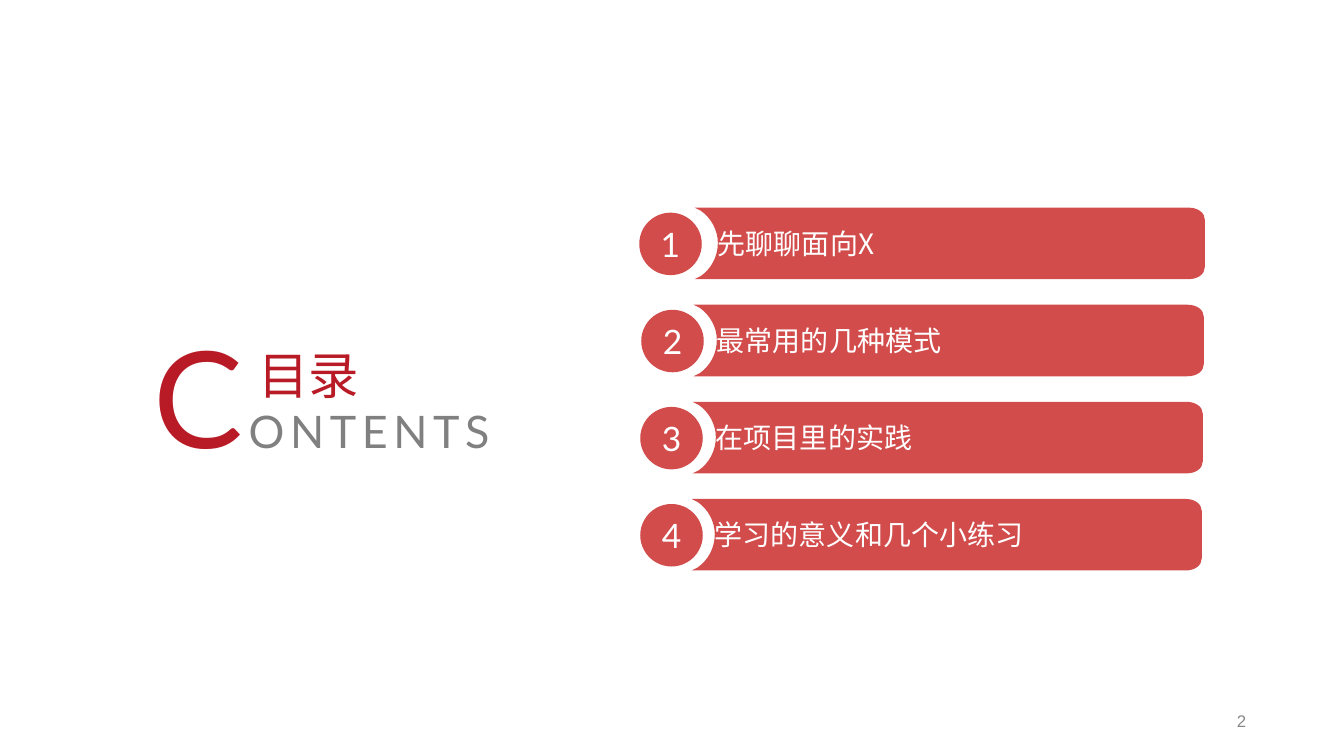
"""Build a contents slide with four numbered bars."""
import pptx
import pptx.dml.color
import pptx.enum.shapes
import pptx.enum.text
import pptx.oxml.ns
import pptx.util
from lxml import etree

Inches = pptx.util.Inches
Align = pptx.enum.text.PP_ALIGN
qn = pptx.oxml.ns.qn
COLORS = {"red": "C00000", "title": "B81B26", "gray": "808080",
          "page": "888888", "white": "FFFFFF"}
CJK = "Noto Sans CJK SC"
ITEMS = [(6.34, "先聊聊面向X"), (6.36, "最常用的几种模式"),
         (6.35, "在项目里的实践"), (6.35, "学习的意义和几个小练习")]
TOP, STEP, SHIFT = 2.06, 2.89 / 3, 0.01
WIDTH, HEIGHT = 5.06, 0.71
OUTLINE = [[(0, 0)], [(4.9, 0)],
           [(4.99, 0), (WIDTH, 0.05), (WIDTH, 0.12)], [(WIDTH, 0.59)],
           [(WIDTH, 0.66), (4.99, HEIGHT), (4.9, HEIGHT)],
           [(0, HEIGHT)], [(0.06, 0.68)],
           [(0.16, 0.61), (0.23, 0.49), (0.23, 0.35)],
           [(0.23, 0.22), (0.16, 0.1), (0.06, 0.03)]]


def add_tag(parent, name, **attrs):
    """Append a drawing element to a parent."""
    return etree.SubElement(parent, qn(name), **attrs)


def add_run(para, text, size, font, color, gap=0):
    """Add one styled run to a paragraph."""
    run = para.add_run()
    run.text = text
    run.font.size = pptx.util.Pt(size)
    run.font.color.rgb = pptx.dml.color.RGBColor.from_string(COLORS[color])
    run.font.name = font
    props = run.font._element
    add_tag(props, "a:ea", typeface=font)
    if gap:
        props.set("spc", str(gap * 100))


def add_text(shapes, box, runs, align=Align.LEFT, inset=0.05, left=None, wrap=True):
    """Add a text box with one paragraph of runs."""
    frame = shapes.add_textbox(*map(Inches, box)).text_frame
    frame.word_wrap = wrap
    frame.vertical_anchor = pptx.enum.text.MSO_ANCHOR.MIDDLE
    frame.margin_top = frame.margin_bottom = frame.margin_right = Inches(inset)
    frame.margin_left = Inches(inset if left is None else left)
    para = frame.paragraphs[0]
    para.alignment = align
    for run in runs:
        add_run(para, *run)


def paint(shape):
    """Give a shape the clear red fill and no line or shadow."""
    shape.shadow.inherit = False
    shape.line.fill.background()
    shape.fill.solid()
    shape.fill.fore_color.rgb = pptx.dml.color.RGBColor.from_string(COLORS["red"])
    tint = shape._element.spPr.find(".//" + qn("a:srgbClr"))
    add_tag(tint, "a:alpha", val="70000")


def bend(shape, parts):
    """Turn each run of three line points into one cubic curve."""
    lines = iter(list(shape._element.iter(qn("a:lnTo"))))
    for part in parts:
        steps = [next(lines) for _ in part]
        if len(steps) == 3:
            cubic = etree.Element(qn("a:cubicBezTo"))
            steps[0].addprevious(cubic)
            for step in steps:
                cubic.append(step[0])
                step.getparent().remove(step)


def add_bar(shapes, left, top, label):
    """Add a bar with a scooped left end and its label."""
    points = [(Inches(left + x), Inches(top + y))
              for part in OUTLINE for x, y in part]
    builder = shapes.build_freeform(*points[0])
    builder.add_line_segments(points[1:], close=True)
    bar = builder.convert_to_shape()
    bend(bar, OUTLINE[1:])
    paint(bar)
    add_text(shapes, (left, top + 0.12, WIDTH, 0.47),
             [(label, 20, CJK, "white")], inset=0.04, left=0.23)


def add_badge(shapes, left, top, number):
    """Add a round badge with its number."""
    oval = pptx.enum.shapes.MSO_SHAPE.OVAL
    paint(shapes.add_shape(oval, *map(Inches, (left, top, 0.62, 0.62))))
    add_text(shapes, (left + 0.09, top + 0.06, 0.44, 0.5),
             [(str(number), 24, "Lato", "white")], Align.CENTER)


def main():
    """Build and save the slide."""
    deck = pptx.Presentation()
    deck.slide_width, deck.slide_height = Inches(13.33), Inches(7.5)
    shapes = deck.slides.add_slide(deck.slide_layouts[6]).shapes
    add_text(shapes, (12.21, 7, 0.2, 0.3), [("2", 12, "Arial", "page")],
             Align.RIGHT, wrap=False)
    add_text(shapes, (1.47, 3.07, 4.88, 1.7),
             [("C", 96, "Lato", "title", 4), ("ONTENTS", 32, "Lato", "gray", 4)])
    add_text(shapes, (2.51, 3.32, 2.01, 0.79),
             [("目录", 36, "Noto Sans CJK JP", "title")])
    for row, (left, _) in enumerate(ITEMS):
        group = shapes.add_group_shape()
        add_badge(group.shapes, left, TOP + 0.05 + STEP * row, row + 1)
    for row, (_, label) in enumerate(ITEMS):
        add_bar(shapes, 6.89 - SHIFT * row, TOP + STEP * row, label)
    deck.save("out.pptx")


if __name__ == "__main__":
    main()
